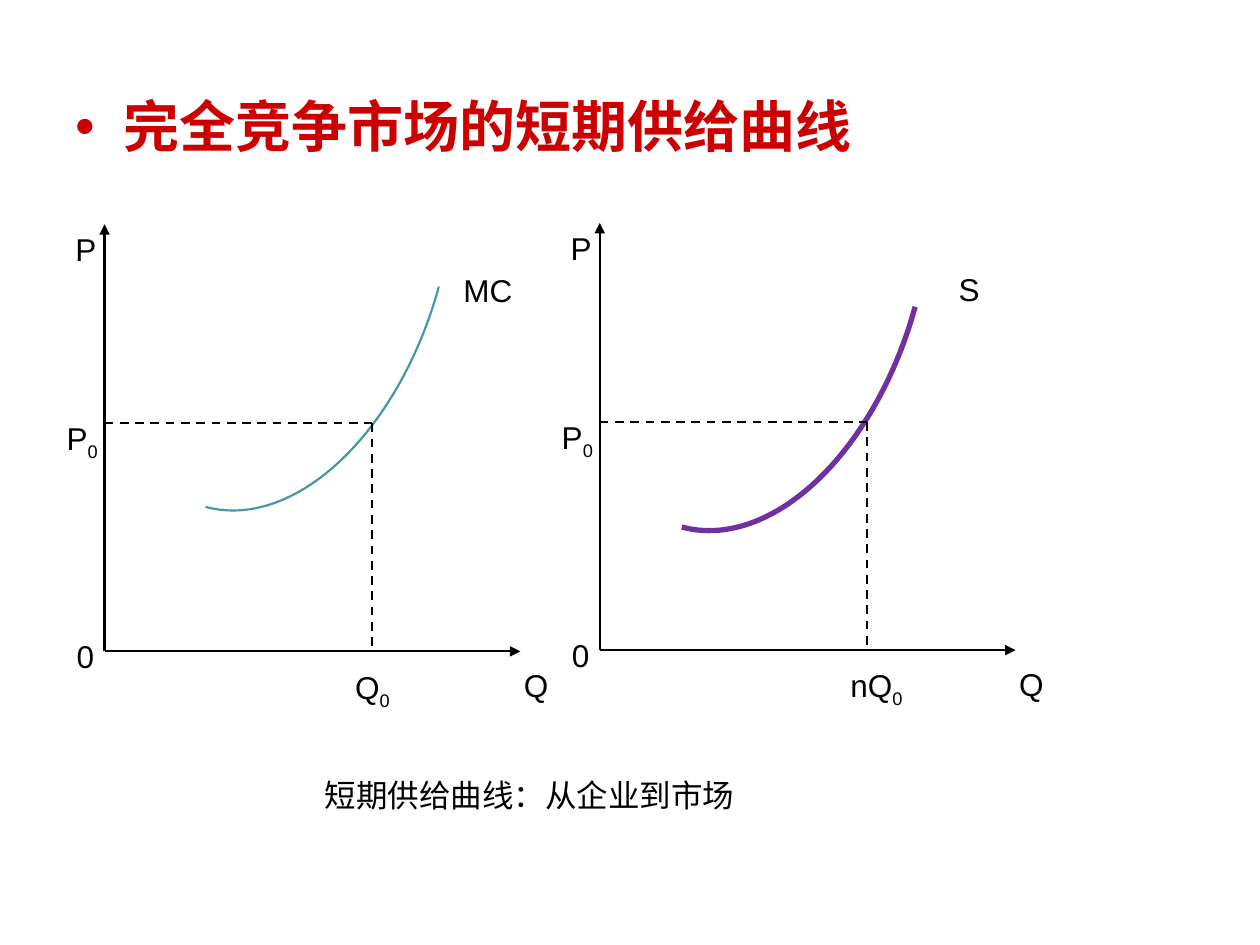
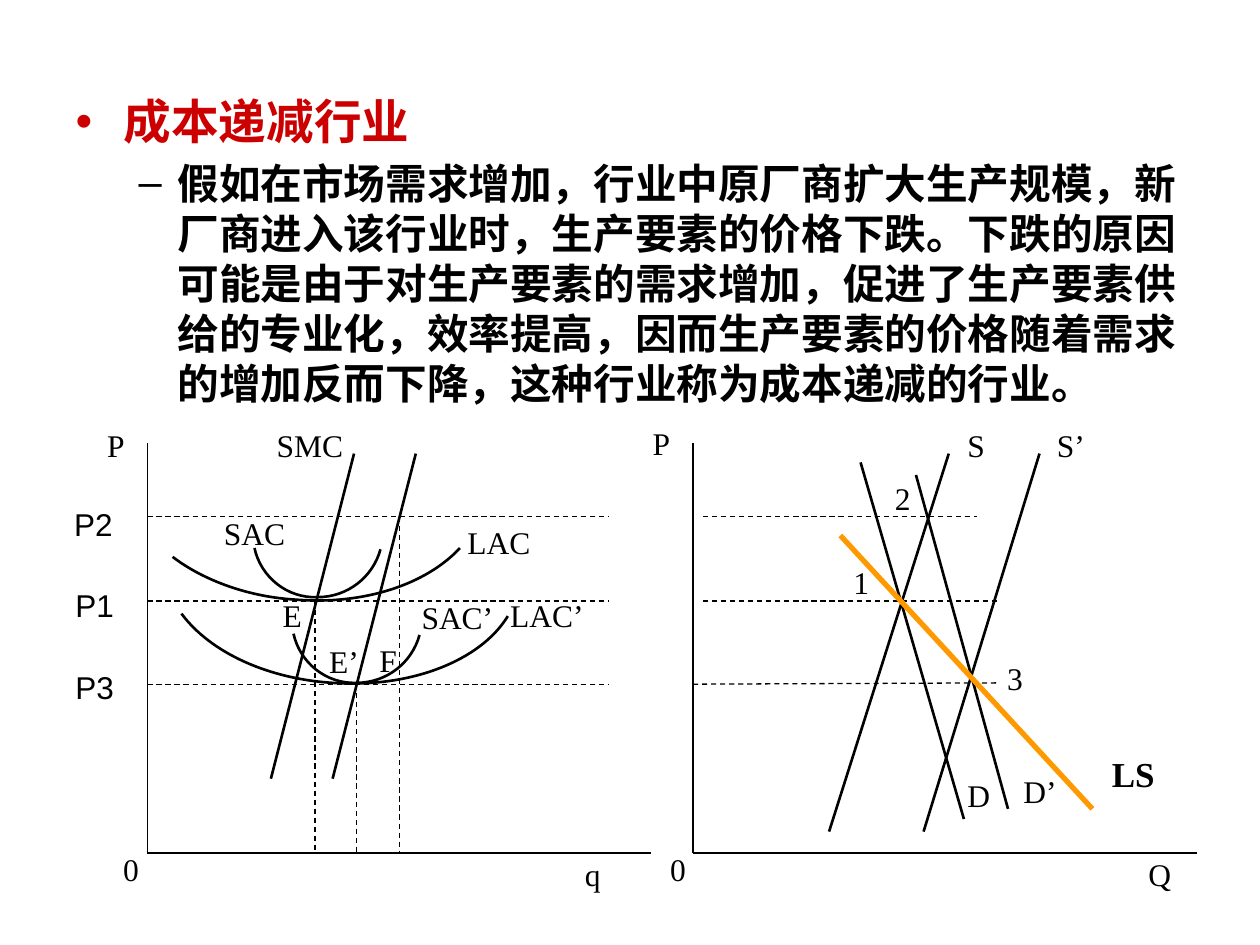
from lxml.etree import SubElement
from pptx import Presentation
from pptx.dml.color import RGBColor
from pptx.enum.dml import MSO_LINE
from pptx.enum.shapes import MSO_CONNECTOR as Connector, MSO_SHAPE as Shape
from pptx.enum.text import MSO_ANCHOR as Anchor, MSO_AUTO_SIZE as AutoSize, PP_ALIGN as Align
from pptx.oxml.ns import qn
from pptx.util import Inches, Pt

RED, BLACK = "CC0000", "000000"
TEAL, PURPLE, ORANGE = "4597A0", "7030A0", "FF9900"
SANS, SERIF = "Arial", "Times New Roman"
TITLE_AND_CONTENT = 1


def rgb(hex_color):
    return RGBColor.from_string(hex_color)


def apply(target, values):
    for name, value in values.items():
        setattr(target, name, value)


class Deck:
    def __init__(self):
        self.prs = Presentation()
        apply(self.prs, {"slide_width": Inches(10), "slide_height": Inches(7.5)})
        self.slide = None
        self.label_font = SANS
        self.label_align = Align.LEFT

    def new_slide(self, heading, size, height, label_font, label_align):
        self.slide = self.prs.slides.add_slide(self.prs.slide_layouts[TITLE_AND_CONTENT])
        self.label_font, self.label_align = label_font, label_align
        title = self.slide.shapes.title._element
        title.getparent().remove(title)
        body = self.slide.placeholders[1]
        apply(body, {"left": Inches(0.5), "top": Inches(0.68),
                     "width": Inches(9), "height": Inches(height)})
        frame = body.text_frame
        apply(frame, {"word_wrap": True, "vertical_anchor": Anchor.TOP,
                      "auto_size": AutoSize.NONE})
        self.bullet(frame.paragraphs[0], heading, "•", 0.38, 0.38, size, RED)
        return frame

    def bullet(self, paragraph, text, mark, margin, hanging, size, color, level=0, before=0):
        apply(paragraph, {"alignment": Align.LEFT, "level": level, "space_before": Pt(before)})
        props = paragraph._p.get_or_add_pPr()
        props.set("marL", str(Inches(margin)))
        props.set("indent", str(-Inches(hanging)))
        SubElement(props, qn("a:buFont")).set("typeface", SANS)
        SubElement(props, qn("a:buChar")).set("char", mark)
        self.run(paragraph, text, size, SANS, color, True)

    def run(self, paragraph, text, size, font, color=BLACK, bold=False):
        run = paragraph.add_run()
        run.text = text
        apply(run.font, {"size": Pt(size), "name": font, "bold": bold})
        run.font.color.rgb = rgb(color)
        return run

    def label(self, text, x, y, width=0.75, sub="", font=None, align=None, size=18, bold=False):
        box = self.slide.shapes.add_textbox(Inches(x), Inches(y), Inches(width), Inches(0.4))
        box.text_frame.word_wrap = True
        paragraph = box.text_frame.paragraphs[0]
        paragraph.alignment = align or self.label_align
        font = font or self.label_font
        self.run(paragraph, text, size, font, bold=bold)
        if sub:
            subscript = self.run(paragraph, sub, size, font)
            subscript._r.get_or_add_rPr().set("baseline", "-25000")

    def stroke(self, shape, color, weight, dashed=False):
        shape.line.color.rgb = rgb(color)
        shape.line.width = Pt(weight)
        if dashed:
            shape.line.dash_style = MSO_LINE.DASH

    def line(self, start, end, weight, color=BLACK, dashed=False, arrow=False):
        link = self.slide.shapes.add_connector(
            Connector.STRAIGHT, *(Inches(v) for v in (*start, *end)))
        self.stroke(link, color, weight, dashed)
        if arrow:
            SubElement(link.line._get_or_add_ln(), qn("a:tailEnd")).set("type", "triangle")
        SubElement(link._element.spPr, qn("a:effectLst"))

    def axes(self, x, y, width, height, weight, arrow=False):
        for end in ((x, y - height), (x + width, y)):
            self.line((x, y), end, weight, arrow=arrow)

    def outline(self, shape, color, weight):
        shape.shadow.inherit = False
        shape.fill.background()
        self.stroke(shape, color, weight)

    def arc(self, x, y, color, weight):
        arc = self.slide.shapes.add_shape(
            Shape.ARC, Inches(x), Inches(y), Inches(4.35), Inches(2.65))
        arc.rotation = 105.3
        self.outline(arc, color, weight)

    def curve(self, knots, dx=0, dy=0):
        start, *controls = [(Inches(x + dx), Inches(y + dy)) for x, y in knots]
        builder = self.slide.shapes.build_freeform(*start, scale=1.0)
        builder.add_line_segments(controls, close=False)
        shape = builder.convert_to_shape()
        drawing = next(shape._element.iter(qn("a:path")))
        segments = drawing.findall(qn("a:lnTo"))
        for first in range(0, len(segments), 3):
            bezier = SubElement(drawing, qn("a:cubicBezTo"))
            for segment in segments[first:first + 3]:
                bezier.append(segment[0])
                drawing.remove(segment)
        self.outline(shape, BLACK, 1.5)


def supply_panel(deck, dx, dy, curve_name, quantity):
    x, y = 0.83 + dx, 5.17 + dy
    corner = (x + 2.12, y - 1.81)
    deck.axes(x, y, 3.3, 3.39, 1.25, arrow=True)
    deck.line((x, corner[1]), corner, 1.25, dashed=True)
    deck.line(corner, (corner[0], y), 1.25, dashed=True)
    for text, sub, left, top in (
            (curve_name, "", 3.58, 2.1), ("P", "0", 0.43, 3.28), (quantity, "0", 2.72, 5.25),
            ("P", "", 0.5, 1.78), ("Q", "", 4.06, 5.24), ("0", "", 0.51, 5.01)):
        deck.label(text, left + dx, top + dy, sub=sub)


def short_run_supply(deck):
    deck.new_slide("完全竞争市场的短期供给曲线", 32, 0.84, SANS, Align.LEFT)
    deck.arc(0.03, 0.6, TEAL, 1.25)
    deck.arc(3.81, 0.76, PURPLE, 3)
    supply_panel(deck, 0, 0, "MC", "Q")
    supply_panel(deck, 3.93, -0.01, "S", "nQ")
    deck.label("短期供给曲线：从企业到市场", 2.48, 6.11, 3.78)


def decreasing_cost_industry(deck):
    frame = deck.new_slide("成本递减行业", 27.2, 2.62, SERIF, Align.CENTER)
    deck.bullet(
        frame.add_paragraph(),
        "假如在市场需求增加，行业中原厂商扩大生产规模，新厂商进入该行业时，"
        "生产要素的价格下跌。下跌的原因可能是由于对生产要素的需求增加，"
        "促进了生产要素供给的专业化，效率提高，因而生产要素的价格随着需求的增加反而下降，"
        "这种行业称为成本递减的行业。",
        "–", 0.81, 0.31, 23.8, BLACK, level=1, before=4.8)

    floor, p2, p1, p3 = 6.77, 4.1, 4.77, 5.43
    firm, market = 1.17, 5.5
    for x in (firm, market):
        deck.axes(x, floor, 4, 3.25, 0.75)
    for level in (p2, p1, p3):
        deck.line((firm, level), (4.83, level), 0.75, dashed=True)
    for x, level in ((2.5, p1), (2.83, p3), (3.17, p2)):
        deck.line((x, level), (x, floor), 0.75, dashed=True)
    for start, end in (((5.58, p2), (7.75, p2)), ((5.58, p1), (7.92, p1)),
                       ((market, p3), (7.92, 5.42))):
        deck.line(start, end, 0.75, dashed=True)

    sac = [(2.02, 4.35), (2.07, 4.58), (2.28, 4.75), (2.52, 4.74),
           (2.76, 4.74), (2.96, 4.58), (3.02, 4.36)]
    deck.curve(sac)
    deck.curve(sac, 0.31, 0.68)
    deck.curve([(1.37, 4.42), (1.62, 4.61), (1.98, 4.74), (2.36, 4.76),
                (2.89, 4.8), (3.38, 4.64), (3.65, 4.35)])
    deck.curve([(1.44, 4.87), (1.67, 5.18), (2.13, 5.39), (2.65, 5.42),
                (3.25, 5.46), (3.81, 5.25), (4.03, 4.89)])

    marginal_costs = [((x, 6.18), (x + 0.66, 3.6)) for x in (2.15, 2.64)]
    supplies = [((6.58, 6.6), (7.53, 3.6)), ((7.33, 6.6), (8.25, 3.6))]
    demands = [((6.83, 3.67), (7.65, 6.5)), ((7.27, 3.77), (8, 6.42))]
    for start, end in marginal_costs + supplies + demands:
        deck.line(start, end, 1.5)
    deck.line((8.67, 6.42), (6.67, 4.25), 3, ORANGE)

    for text, x, y, width in (
            ("SMC", 2, 3.33, 0.92), ("SAC", 1.56, 4.03, 0.92), ("LAC", 3.5, 4.1, 0.92),
            ("SAC’", 3.17, 4.7, 0.92), ("LAC’", 3.88, 4.68, 0.92), ("E", 1.86, 4.68, 0.92),
            ("E’", 2.27, 5.05, 0.92), ("F", 2.62, 5.04, 0.92),
            ("P", 0.42, 3.33, 1), ("P", 4.75, 3.32, 1),
            ("0", 0.83, 6.7, 0.42), ("0", 5.17, 6.7, 0.42),
            ("q", 4.33, 6.74, 0.75), ("Q", 8.83, 6.74, 0.75),
            ("1", 6.67, 4.42, 0.33), ("2", 7, 3.75, 0.33), ("3", 7.89, 5.18, 0.33),
            ("S", 7.58, 3.33, 0.33), ("S’", 8.25, 3.33, 0.5),
            ("D", 7.58, 6.11, 0.33), ("D’", 7.92, 6.08, 0.67)):
        deck.label(text, x, y, width)
    deck.label("LS", 8.58, 5.92, 0.83, size=20, bold=True)
    for text, x, y in (("P2", 0.49, 3.96), ("P1", 0.5, 4.6), ("P3", 0.5, 5.25)):
        deck.label(text, x, y, 0.55, font=SANS, align=Align.LEFT)


def main():
    deck = Deck()
    short_run_supply(deck)
    decreasing_cost_industry(deck)
    deck.prs.save("out.pptx")


if __name__ == "__main__":
    main()
